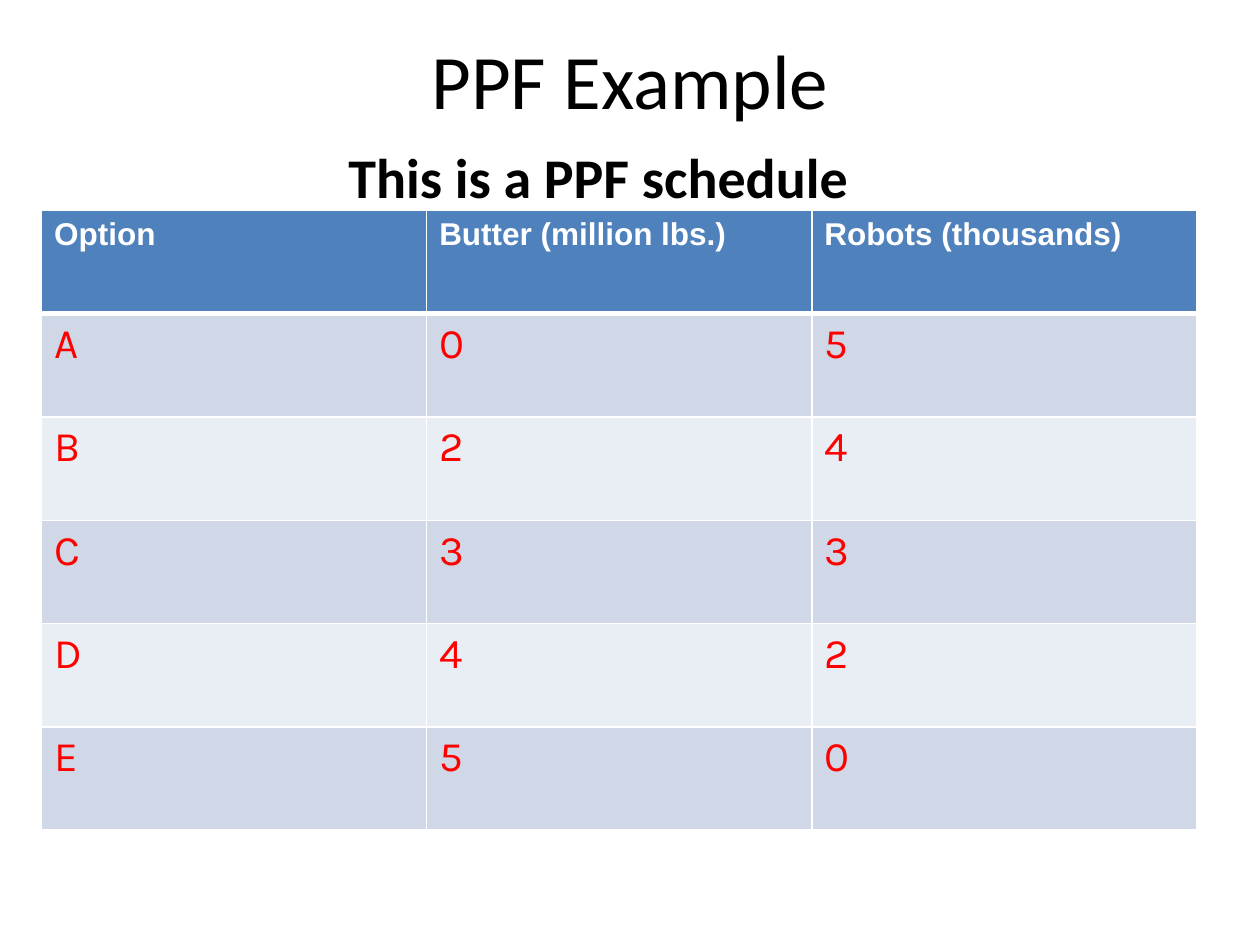
from lxml import etree
from pptx import Presentation
from pptx.dml.color import RGBColor
from pptx.enum import text
from pptx.oxml import ns
from pptx.util import Inches, Pt

TITLE = "PPF Example"
SUBTITLE = "This is a PPF schedule"
SCHEDULE = [
    ("Option", "Butter (million lbs.)", "Robots (thousands)"),
    ("A", "0", "5"),
    ("B", "2", "4"),
    ("C", "3", "3"),
    ("D", "4", "2"),
    ("E", "5", "0"),
]
HEADER_FILL = "4F81BD"
BAND_FILLS = ("E9EDF4", "D0D8E8")
HEADER_FORMAT = dict(size=18, font="Arial", color="FFFFFF", bold=True)
BODY_FORMAT = dict(size=24, font="Karla", color="FF0000")


def rgb(value):
    return RGBColor.from_string(value)


def write(frame, content, size, font="Calibri", color="000000", bold=False,
          align=text.PP_ALIGN.LEFT):
    para = frame.paragraphs[0]
    para.alignment = align
    span = para.add_run()
    span.text = content
    span.font.size = Pt(size)
    span.font.name = font
    span.font.bold = bold
    span.font.color.rgb = rgb(color)


def place(shape, left, top, width, height):
    shape.left, shape.top = Inches(left), Inches(top)
    shape.width, shape.height = Inches(width), Inches(height)


def paint(cell, fill, bottom):
    cell.fill.solid()
    cell.fill.fore_color.rgb = rgb(fill)
    properties = cell._tc.get_or_add_tcPr()
    widths = {"lnL": 1, "lnR": 1, "lnT": 1, "lnB": bottom}
    for position, (side, width) in enumerate(widths.items()):
        line = etree.Element(ns.qn("a:" + side), w=str(Pt(width)))
        solid = etree.SubElement(line, ns.qn("a:solidFill"))
        etree.SubElement(solid, ns.qn("a:srgbClr"), val="FFFFFF")
        properties.insert(position, line)


deck = Presentation()
deck.slide_width, deck.slide_height = Inches(10), Inches(7.5)
page = deck.slides.add_slide(deck.slide_layouts[5])

title = page.shapes.title
place(title, 0.5, 0, 9, 1.25)
title.text_frame.vertical_anchor = text.MSO_ANCHOR.MIDDLE
write(title.text_frame, TITLE, size=44, align=text.PP_ALIGN.CENTER)

table = page.shapes.add_table(
    len(SCHEDULE), len(SCHEDULE[0]),
    Inches(0.33), Inches(1.67), Inches(9.17), Inches(4.92)).table
for row, values in enumerate(SCHEDULE):
    header = row == 0
    for column, value in enumerate(values):
        cell = table.cell(row, column)
        paint(cell, HEADER_FILL if header else BAND_FILLS[row % 2],
              bottom=3 if header else 1)
        if row == 1:
            cell._tc.tcPr.find(ns.qn("a:lnT")).set("w", str(Pt(3)))
        write(cell.text_frame, value, **(HEADER_FORMAT if header else BODY_FORMAT))

subtitle = page.shapes.add_textbox(Inches(0.75), Inches(1.08), Inches(8), Inches(0.64))
subtitle.text_frame.word_wrap = True
write(subtitle.text_frame, SUBTITLE, size=32, bold=True, align=text.PP_ALIGN.CENTER)

deck.save("out.pptx")
